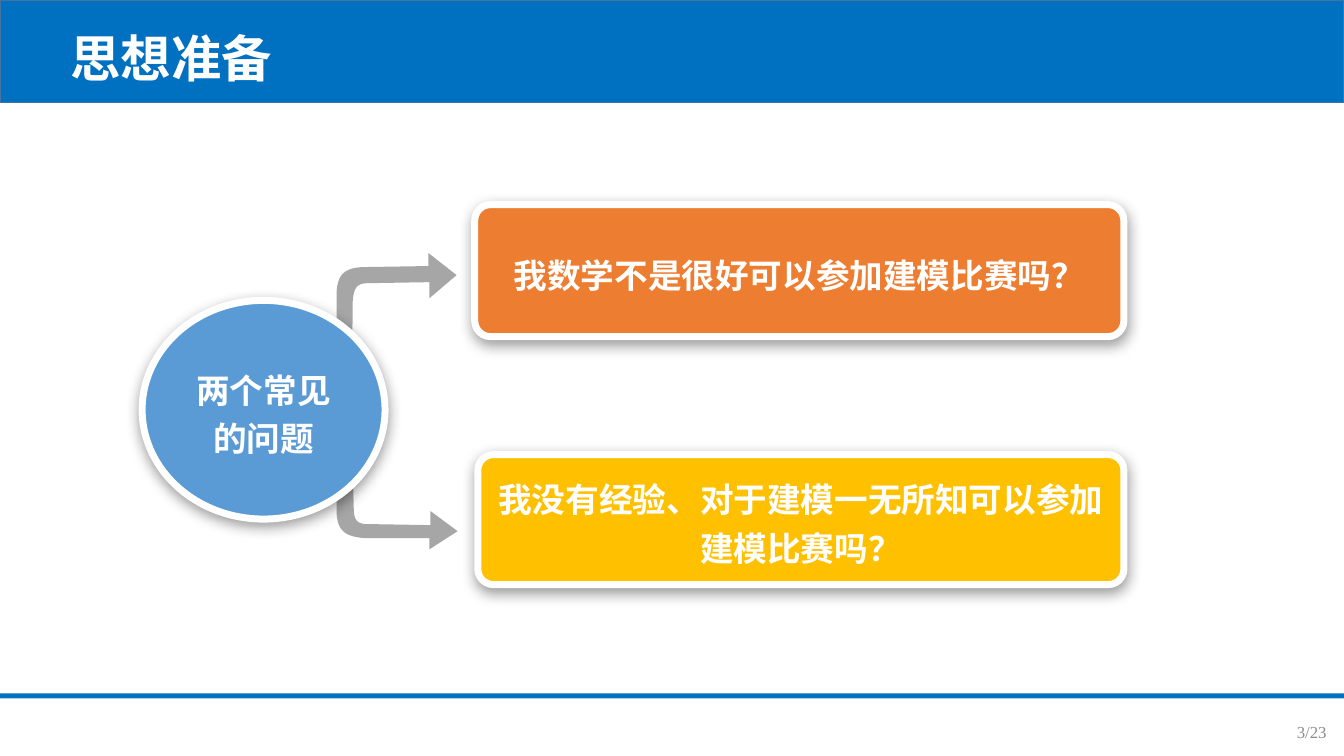
from dataclasses import dataclass

from lxml.etree import SubElement
from pptx import Presentation
from pptx.dml.color import RGBColor
from pptx.enum.shapes import MSO_SHAPE
from pptx.enum.text import MSO_ANCHOR, PP_ALIGN
from pptx.oxml.ns import qn
from pptx.shapes.autoshape import Shape
from pptx.slide import Slide
from pptx.util import Inches, Length, Pt

COLORS = {
    "blue": "0070C0", "edge": "43739E", "white": "FFFFFF", "gray": "A6A6A6",
    "number": "8C8C8C", "orange": "ED7D31", "gold": "FFC000",
    "circle": "5B9BD5", "black": "000000",
}
SANS = "Noto Sans CJK SC"
SERIF = "Times New Roman"
WIDTH, HEIGHT = Inches(13.33), Inches(7.5)
COLUMNS, ROWS = 40, 30
CURVE_STEPS = 12

Point = tuple[float, float]


@dataclass(frozen=True)
class Area:
    """A rectangle in grid columns and rows."""
    column: float
    row: float
    columns: float
    rows: float

    def frame(self) -> tuple[Length, Length, Length, Length]:
        return (across(self.column), down(self.row),
                across(self.columns), down(self.rows))


@dataclass(frozen=True)
class Bubble:
    text: str
    kind: MSO_SHAPE
    area: Area
    color: str


@dataclass(frozen=True)
class Arrow:
    """An outline whose steps are one point (line) or three (curve)."""
    start: Point
    steps: tuple[tuple[Point, ...], ...]


BARS = [
    (Area(0, 27.52, COLUMNS, 0.2), None),
    (Area(0, 0, COLUMNS, 4.08), "edge"),
]
ARROWS = [
    Arrow((10.47, 16.92), (
        ((10.53, 20.2),),
        ((10.53, 20.8), (10.74, 20.8), (11.04, 20.8)),
        ((12.81, 20.84),), ((12.81, 20.28),), ((13.62, 21.08),),
        ((12.78, 21.8),), ((12.78, 21.36),), ((10.92, 21.36),),
        ((10.26, 21.32), (10.05, 21.04), (10.02, 20.4)),
        ((10.02, 16.84),),
        ((10.11, 16.28), (10.38, 16.32), (10.47, 16.92)),
    )),
    Arrow((10.47, 15.92), (
        ((10.5, 11.96),),
        ((10.53, 11.28), (10.71, 11.24), (11.01, 11.24)),
        ((12.78, 11.2),), ((12.78, 11.84),), ((13.59, 10.92),),
        ((12.75, 10.04),), ((12.75, 10.56),), ((10.89, 10.6),),
        ((10.23, 10.6), (10.02, 10.92), (10.02, 11.72)),
        ((10.02, 16),),
        ((10.08, 16.72), (10.35, 16.64), (10.47, 15.92)),
    )),
]
BUBBLES = [
    Bubble("我数学不是很好可以参加建模比赛吗？", MSO_SHAPE.ROUNDED_RECTANGLE,
           Area(14.13, 8.12, 19.32, 5.24), "orange"),
    Bubble("我没有经验、对于建模一无所知可以参加建模比赛吗？",
           MSO_SHAPE.ROUNDED_RECTANGLE,
           Area(14.22, 18.04, 19.23, 5.16), "gold"),
    Bubble("两个常见的问题", MSO_SHAPE.OVAL,
           Area(4.23, 11.92, 7.23, 8.68), "circle"),
]


def across(columns: float) -> Length:
    return Length(round(WIDTH * columns / COLUMNS))


def down(rows: float) -> Length:
    return Length(round(HEIGHT * rows / ROWS))


def rgb(name: str) -> RGBColor:
    return RGBColor.from_string(COLORS[name])


def paint(shape: Shape, fill: str, line: str | None = None,
          width: float = 1) -> None:
    shape.shadow.inherit = False
    shape.fill.solid()
    shape.fill.fore_color.rgb = rgb(fill)
    if line:
        shape.line.color.rgb = rgb(line)
        shape.line.width = Pt(width)
    else:
        shape.line.fill.background()


def write(box: Shape, text: str, *, size: float, color: str = "white",
          font: str = SANS, bold: bool = False,
          align: PP_ALIGN = PP_ALIGN.LEFT,
          spacing: float | Length = 1.0) -> None:
    frame = box.text_frame
    frame.word_wrap = True
    frame.vertical_anchor = MSO_ANCHOR.MIDDLE
    para = frame.paragraphs[0]
    para.alignment = align
    para.line_spacing = spacing
    span = para.add_run()
    span.text = text
    span.font.name = font
    span.font.size = Pt(size)
    span.font.bold = bold
    span.font.color.rgb = rgb(color)
    east_asian = SubElement(span.font._element, qn("a:ea"))
    east_asian.set("typeface", font)


def add_shadow(shape: Shape) -> None:
    effects = shape._element.spPr.find(qn("a:effectLst"))
    shadow = SubElement(effects, qn("a:outerShdw"), blurRad=str(Pt(10)),
                        dist=str(Pt(3)), dir=str(90 * 60000),
                        algn="t", rotWithShape="0")
    color = SubElement(shadow, qn("a:srgbClr"), val=COLORS["black"])
    SubElement(color, qn("a:alpha"), val="40000")


def curve_points(start: Point, controls: tuple[Point, ...]) -> list[Point]:
    """Sample a cubic Bézier curve, leaving out its start."""
    points = []
    for step in range(1, CURVE_STEPS + 1):
        t = step / CURVE_STEPS
        weights = ((1 - t) ** 3, 3 * t * (1 - t) ** 2,
                   3 * t ** 2 * (1 - t), t ** 3)
        x, y = (sum(weight * value for weight, value in zip(weights, axis))
                for axis in zip(start, *controls))
        points.append((x, y))
    return points


def draw_arrow(page: Slide, arrow: Arrow) -> None:
    points = [arrow.start]
    for step in arrow.steps:
        points += curve_points(points[-1], step) if len(step) == 3 else step
    corners = [(across(x), down(y)) for x, y in points]
    builder = page.shapes.build_freeform(*corners[0])
    builder.add_line_segments(corners[1:], close=True)
    paint(builder.convert_to_shape(), "gray")


def draw_bubble(page: Slide, bubble: Bubble) -> None:
    shape = page.shapes.add_shape(bubble.kind, *bubble.area.frame())
    if bubble.kind == MSO_SHAPE.ROUNDED_RECTANGLE:
        shape.adjustments[0] = 0.12
    paint(shape, bubble.color, "white", 5)
    add_shadow(shape)
    write(shape, bubble.text, size=24, bold=True,
          align=PP_ALIGN.CENTER, spacing=1.2)


def main() -> None:
    deck = Presentation()
    deck.slide_width, deck.slide_height = WIDTH, HEIGHT
    page = deck.slides.add_slide(deck.slide_layouts[6])
    for area, edge in BARS:
        bar = page.shapes.add_shape(MSO_SHAPE.RECTANGLE, *area.frame())
        paint(bar, "blue", edge)
    number = page.shapes.add_textbox(*Area(37.17, 28.24, 2.61, 1.6).frame())
    write(number, "3/23", size=12, color="number", font=SERIF,
          align=PP_ALIGN.RIGHT)
    title = page.shapes.add_textbox(*Area(1.8, 0.6, 22.5, 3).frame())
    write(title, "思想准备", size=36, bold=True, spacing=Pt(49))
    for arrow in ARROWS:
        draw_arrow(page, arrow)
    for bubble in BUBBLES:
        draw_bubble(page, bubble)
    deck.save("out.pptx")


if __name__ == "__main__":
    main()
